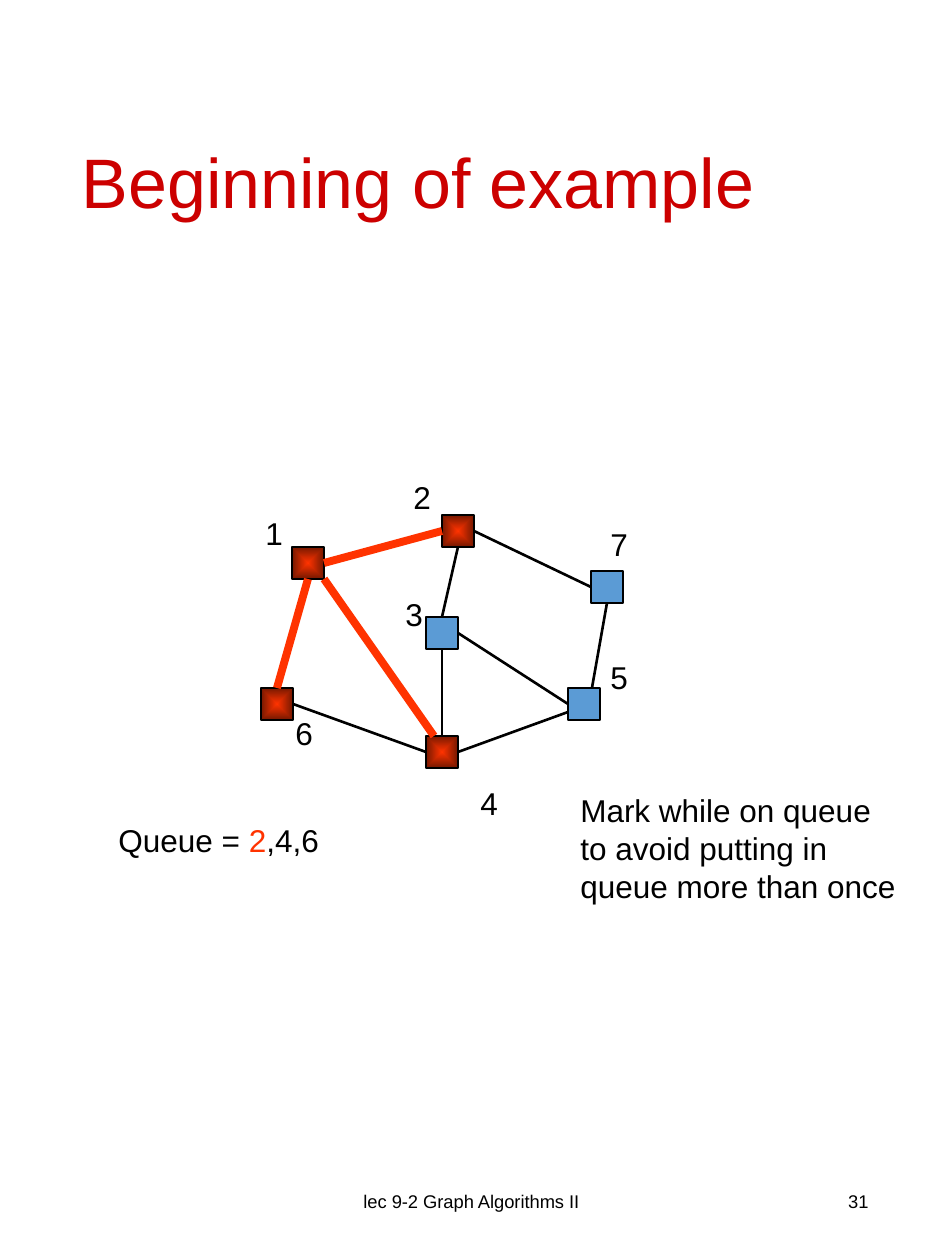
from dataclasses import dataclass

from lxml import etree
from pptx import Presentation
from pptx.dml.color import RGBColor
from pptx.enum.shapes import MSO_CONNECTOR, MSO_SHAPE
from pptx.enum.text import MSO_ANCHOR, MSO_AUTO_SIZE, PP_ALIGN
from pptx.oxml.ns import qn
from pptx.util import Emu, Pt

LEFT, CENTER, RIGHT = PP_ALIGN.LEFT, PP_ALIGN.CENTER, PP_ALIGN.RIGHT
TOP, MIDDLE = MSO_ANCHOR.TOP, MSO_ANCHOR.MIDDLE
FIT_SHAPE, NO_FIT = MSO_AUTO_SIZE.SHAPE_TO_FIT_TEXT, MSO_AUTO_SIZE.NONE
RECTANGLE, STRAIGHT = MSO_SHAPE.RECTANGLE, MSO_CONNECTOR.STRAIGHT

EMU_PER_PX = 914400 / 126
NODE_SIZE = 32
TITLE_ONLY = 5


@dataclass(frozen=True)
class Theme:
    font: str = "Arial"
    title: str = "CC0000"
    ink: str = "000000"
    marked: str = "FF3300"
    marked_edge: str = "761800"
    unmarked: str = "5B9BD5"
    title_size: float = 40
    body_size: float = 18
    footer_size: float = 10.5
    thin: float = 1.5
    thick: float = 4.5


THEME = Theme()


@dataclass(frozen=True)
class Node:
    left: int
    top: int
    label_left: int
    label_top: int
    marked: bool = False


@dataclass(frozen=True)
class Edge:
    """An edge between two nodes; anchors are fractions of the node's size."""
    start: int
    start_anchor: tuple[float, float]
    end: int
    end_anchor: tuple[float, float]
    tree: bool = False


@dataclass(frozen=True)
class TextBox:
    box: tuple[int, int, int, int]
    lines: list[list[tuple[str, str]]]
    size: float = THEME.body_size
    align: PP_ALIGN = LEFT
    footer: bool = False


WEST, EAST, NORTH, SOUTH = (0, 0.5), (1, 0.5), (0.5, 0), (0.5, 1)

NODES = {
    1: Node(292, 547, 253, 508, marked=True),
    6: Node(261, 688, 283, 708, marked=True),
    4: Node(426, 736, 468, 778, marked=True),
    5: Node(568, 688, 598, 652),
    3: Node(426, 617, 393, 589),
    2: Node(442, 515, 401, 472, marked=True),
    7: Node(591, 571, 598, 519),
}

EDGES = [
    Edge(1, EAST, 2, WEST, tree=True),
    Edge(2, SOUTH, 3, NORTH),
    Edge(2, EAST, 7, WEST),
    Edge(3, EAST, 5, WEST),
    Edge(7, SOUTH, 5, (0.75, 0)),
    Edge(3, SOUTH, 4, NORTH),
    Edge(4, EAST, 5, (0, 0.75)),
    Edge(6, EAST, 4, WEST),
    Edge(1, SOUTH, 6, NORTH, tree=True),
    Edge(1, (1, 1), 4, (0.25, 0), tree=True),
]

NOTE = ["Mark while on queue", "to avoid putting in", "queue more than once"]

TEXTS = [
    TextBox((312, 1168, 319, 67), [[("lec 9-2 Graph Algorithms II", THEME.ink)]],
            THEME.footer_size, CENTER, footer=True),
    TextBox((668, 1168, 213, 67), [[("31", THEME.ink)]],
            THEME.footer_size, RIGHT, footer=True),
    TextBox((106, 815, 233, 50),
            [[("Queue = ", THEME.ink), ("2", THEME.marked), (",4,6", THEME.ink)]]),
    TextBox((568, 785, 355, 127), [[(line, THEME.ink)] for line in NOTE]),
]


def px(*lengths: float) -> list[Emu]:
    return [Emu(round(length * EMU_PER_PX)) for length in lengths]


def apply_format(target, values: dict) -> None:
    for name, value in values.items():
        setattr(target, name, value)


def style_font(font, size: float, color: str) -> None:
    apply_format(font, {"name": THEME.font, "size": Pt(size), "bold": False})
    font.color.rgb = RGBColor.from_string(color)


def style_line(line, color: str, width: float) -> None:
    line.color.rgb = RGBColor.from_string(color)
    line.width = Pt(width)


def fill_from_centre(shape, colors: tuple[str, str]) -> None:
    shape.fill.gradient()
    for stop, color in zip(shape.fill.gradient_stops, colors):
        stop.color.rgb = RGBColor.from_string(color)
    gradient = shape._element.spPr.find(qn("a:gradFill"))
    gradient.remove(gradient.find(qn("a:lin")))
    spread = etree.SubElement(gradient, qn("a:path"), {"path": "shape"})
    etree.SubElement(spread, qn("a:fillToRect"), dict.fromkeys("ltrb", "50000"))


def draw_title(slide, text: str) -> None:
    title = slide.shapes.title
    left, top, width, height = px(69, 64, 815, 243)
    apply_format(title, {"left": left, "top": top, "width": width, "height": height})
    apply_format(title.text_frame, {"text": text, "vertical_anchor": MIDDLE,
                                    "word_wrap": True, "auto_size": NO_FIT})
    paragraph = title.text_frame.paragraphs[0]
    apply_format(paragraph, {"alignment": LEFT, "line_spacing": 0.9})
    style_font(paragraph.runs[0].font, THEME.title_size, THEME.title)


def draw_text(slide, text: TextBox) -> None:
    frame = slide.shapes.add_textbox(*px(*text.box)).text_frame
    apply_format(frame, {"word_wrap": text.footer,
                         "auto_size": NO_FIT if text.footer else FIT_SHAPE,
                         "vertical_anchor": MIDDLE if text.footer else TOP})
    paragraph = frame.paragraphs[0]
    paragraph.alignment = text.align
    for index, line in enumerate(text.lines):
        if index:
            paragraph.add_line_break()
        for words, color in line:
            run = paragraph.add_run()
            run.text = words
            style_font(run.font, text.size, color)


def draw_node(slide, node: Node) -> None:
    shape = slide.shapes.add_shape(
        RECTANGLE, *px(node.left, node.top, NODE_SIZE, NODE_SIZE))
    shape.shadow.inherit = False
    if node.marked:
        fill_from_centre(shape, (THEME.marked, THEME.marked_edge))
    else:
        shape.fill.solid()
        shape.fill.fore_color.rgb = RGBColor.from_string(THEME.unmarked)
    style_line(shape.line, THEME.ink, THEME.thin)


def anchor_point(node: Node, anchor: tuple[float, float]) -> list[Emu]:
    return px(node.left + anchor[0] * NODE_SIZE, node.top + anchor[1] * NODE_SIZE)


def draw_edge(slide, edge: Edge) -> None:
    connector = slide.shapes.add_connector(
        STRAIGHT,
        *anchor_point(NODES[edge.start], edge.start_anchor),
        *anchor_point(NODES[edge.end], edge.end_anchor))
    etree.SubElement(connector._element.spPr, qn("a:effectLst"))
    if edge.tree:
        style_line(connector.line, THEME.marked, THEME.thick)
    else:
        style_line(connector.line, THEME.ink, THEME.thin)


def main() -> None:
    presentation = Presentation()
    presentation.slide_width, presentation.slide_height = px(945, 1260)
    slide = presentation.slides.add_slide(presentation.slide_layouts[TITLE_ONLY])
    draw_title(slide, "Beginning of example")

    # Graph: nodes, then edges, then node numbers
    for node in NODES.values():
        draw_node(slide, node)
    for edge in EDGES:
        draw_edge(slide, edge)
    for number, node in NODES.items():
        draw_text(slide, TextBox((node.label_left, node.label_top, 43, 50),
                                 [[(str(number), THEME.ink)]]))

    # Footer, queue and note
    for text in TEXTS:
        draw_text(slide, text)
    presentation.save("out.pptx")


if __name__ == "__main__":
    main()
